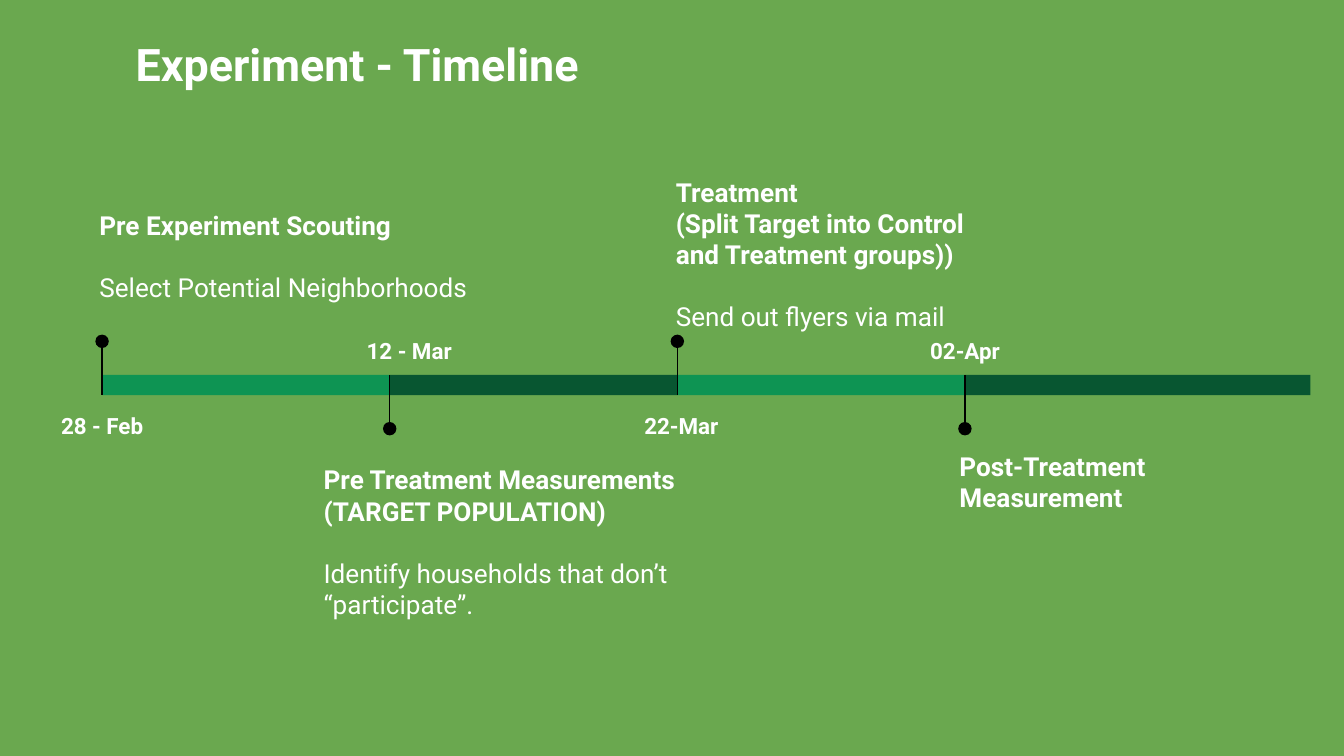
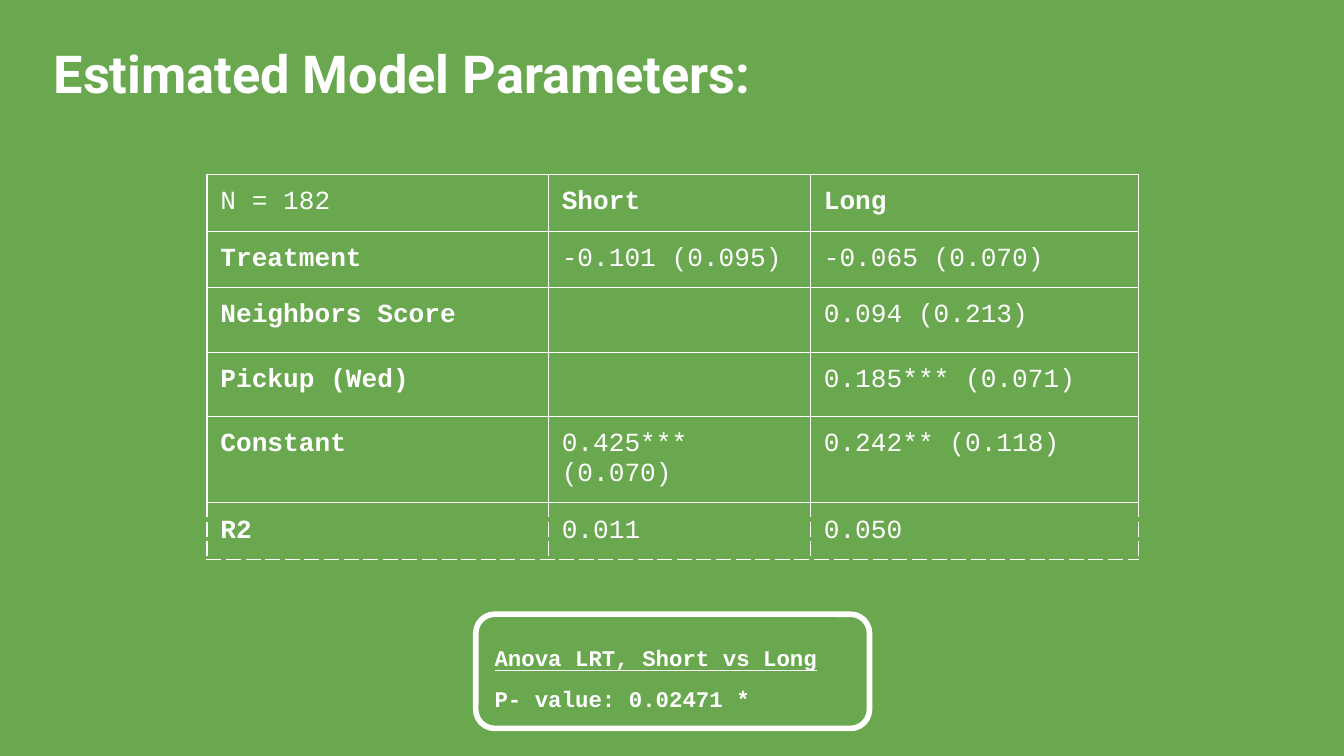
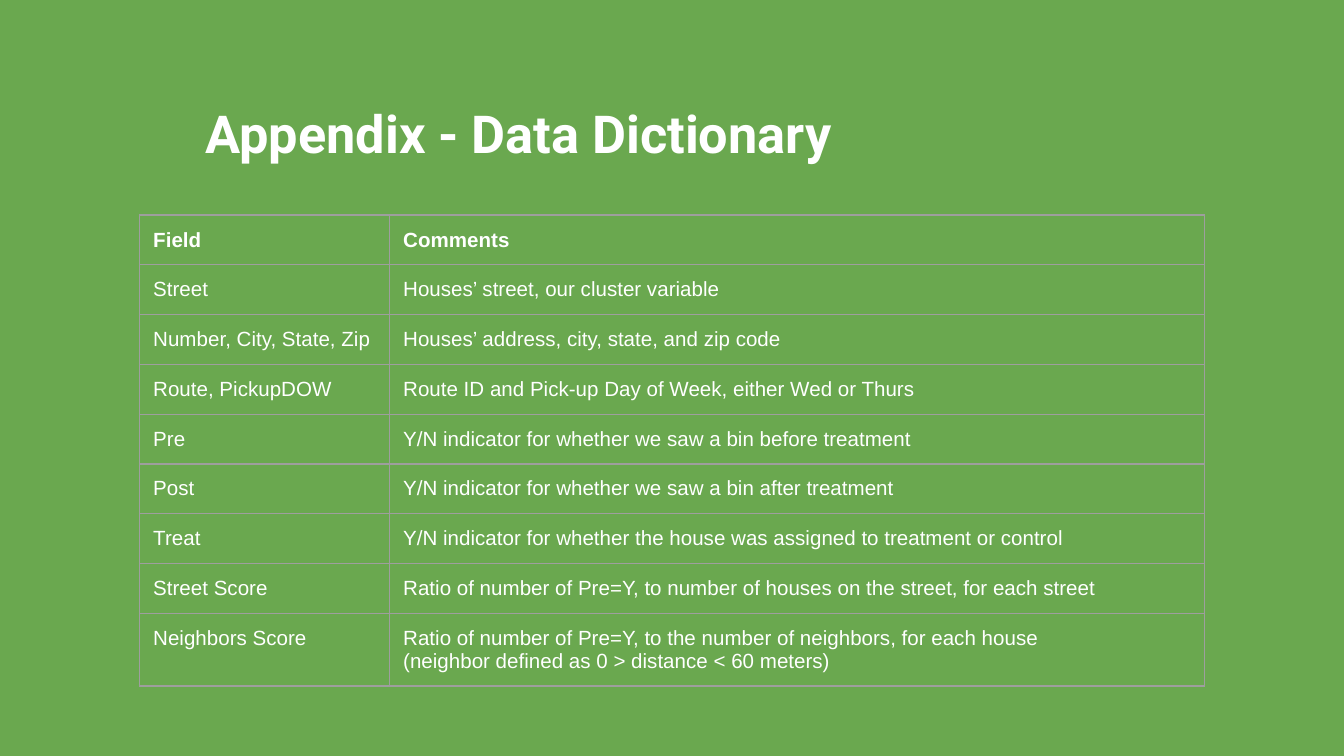
"""Build three slides: a timeline, a parameter table and a data dictionary."""
from lxml import etree
from pptx import Presentation
from pptx.dml.color import RGBColor
from pptx.enum.shapes import MSO_CONNECTOR, MSO_SHAPE
from pptx.enum.text import MSO_ANCHOR, MSO_AUTO_SIZE, PP_ALIGN
from pptx.oxml.ns import qn
from pptx.util import Inches, Pt

RECT, OVAL, ROUND = MSO_SHAPE.RECTANGLE, MSO_SHAPE.OVAL, MSO_SHAPE.ROUNDED_RECTANGLE
STRAIGHT = MSO_CONNECTOR.STRAIGHT
TOP, MIDDLE = MSO_ANCHOR.TOP, MSO_ANCHOR.MIDDLE
LEFT, CENTER = PP_ALIGN.LEFT, PP_ALIGN.CENTER
FIXED = MSO_AUTO_SIZE.NONE

COLS, ROWS = 100, 56.25
GREEN, WHITE, BLACK, GREY = "6AA84F", "FFFFFF", "000000", "9E9E9E"
LIGHT, DARK = "0E9453", "085631"
SANS, MONO, PLAIN = "Roboto", "Courier New", "Arial"

BAR_LEFT, BAR_TOP, BAR_HEIGHT, BAR_STEP, LAST_BAR = 7.6, 27.9, 1.5, 21.4, 25.7
STEM, DOT, DATE_WIDTH, DATE_HEIGHT = 4, 1, 9.5, 4.1

MILESTONES = [
    ("28 - Feb", 0, ["Pre Experiment Scouting"],
     "Select Potential Neighborhoods", (6.4, 14.6, 29.8, 10.3)),
    ("12 - Mar", 1.45, ["Pre Treatment Measurements", "(TARGET POPULATION)"],
     "Identify households that don’t “participate”.", (23.1, 33.5, 29, 13.4)),
    ("22-Mar", 0.3, ["Treatment", "(Split Target into Control and Treatment groups))"],
     "Send out flyers via mail", (49.3, 12.1, 24.6, 10.3)),
    ("02-Apr", 0, ["Post-Treatment Measurement"], None, (70.4, 32.5, 24.6, 10.3)),
]

PARAMETERS = [
    ("N = 182", "Short", "Long"),
    ("Treatment", "-0.101 (0.095)", "-0.065 (0.070)"),
    ("Neighbors Score", "", "0.094 (0.213)"),
    ("Pickup (Wed)", "", "0.185*** (0.071)"),
    ("Constant", "0.425*** (0.070)", "0.242** (0.118)"),
    ("R2", "0.011", "0.050"),
]

DICTIONARY = [
    ("Field", "Comments"),
    ("Street", "Houses’ street, our cluster variable"),
    ("Number, City, State, Zip", "Houses’ address, city, state, and zip code"),
    ("Route, PickupDOW", "Route ID and Pick-up Day of Week, either Wed or Thurs"),
    ("Pre", "Y/N indicator for whether we saw a bin before treatment"),
    ("Post", "Y/N indicator for whether we saw a bin after treatment"),
    ("Treat", "Y/N indicator for whether the house was assigned to treatment or control"),
    ("Street Score",
     "Ratio of number of Pre=Y, to number of houses on the street, for each street"),
    ("Neighbors Score",
     "Ratio of number of Pre=Y, to the number of neighbors, for each house\n"
     "(neighbor defined as 0 > distance < 60 meters)"),
]


def rgb(value):
    return RGBColor.from_string(value)


class Deck:
    """Holds the shared style and the current slide, and draws on a grid."""

    def __init__(self):
        self.prs = Presentation()
        self.prs.slide_width, self.prs.slide_height = Inches(10), Inches(5.625)
        fill = self.prs.slide_master.background.fill
        fill.solid()
        fill.fore_color.rgb = rgb(GREEN)

    def x(self, cols):
        return round(self.prs.slide_width * cols / COLS)

    def y(self, rows):
        return round(self.prs.slide_height * rows / ROWS)

    def box(self, left, top, width, height):
        return self.x(left), self.y(top), self.x(width), self.y(height)

    def style(self, p, size, font=SANS, bold=True, align=LEFT, spacing=None):
        p.alignment = align
        if spacing:
            p.line_spacing = spacing
        f = p.font
        f.size, f.name, f.bold = Pt(size), font, bold
        f.color.rgb = rgb(WHITE)

    def frame(self, tf, lines, anchor=TOP, wrap=True):
        tf.text = "\n".join(lines)
        tf.word_wrap, tf.auto_size, tf.vertical_anchor = wrap, FIXED, anchor
        tf.margin_left = tf.margin_right = tf.margin_top = tf.margin_bottom = Inches(0.1)
        return tf.paragraphs

    def slide(self, title, left, top, height=10.9, size=28):
        s = self.prs.slides.add_slide(self.prs.slide_layouts[5])
        self.shapes = s.shapes
        sp = s.shapes.title
        sp.left, sp.top, sp.width, sp.height = self.box(left, top, 76.9, height)
        self.style(self.frame(sp.text_frame, [title])[0], size)

    def text(self, lines, area, wrap=True):
        sp = self.shapes.add_textbox(*self.box(*area))
        return self.frame(sp.text_frame, lines, wrap=wrap)

    def shape(self, kind, area, color, line=None):
        sp = self.shapes.add_shape(kind, *self.box(*area))
        sp.shadow.inherit = False
        sp.fill.solid()
        sp.fill.fore_color.rgb = rgb(color)
        if line:
            sp.line.color.rgb, sp.line.width = rgb(line), Pt(3)
        else:
            sp.line.fill.background()
        return sp

    def stem(self, col, start, end):
        c = self.shapes.add_connector(
            STRAIGHT, self.x(col), self.y(start), self.x(col), self.y(end))
        c.line.color.rgb, c.line.width = rgb(BLACK), Pt(0.75)
        etree.SubElement(c._element.spPr, qn("a:effectLst"))

    def milestone(self, i, date, shift, headings, body, area):
        slide_shapes = self.shapes
        self.shapes = slide_shapes.add_group_shape().shapes
        col, above = BAR_LEFT + i * BAR_STEP, i % 2 == 0
        bar_bottom = BAR_TOP + BAR_HEIGHT
        width = LAST_BAR if i == len(MILESTONES) - 1 else BAR_STEP
        self.shape(RECT, (col, BAR_TOP, width, BAR_HEIGHT), LIGHT if above else DARK)
        base, tip = (bar_bottom, bar_bottom - STEM) if above else (BAR_TOP, BAR_TOP + STEM)
        self.stem(col, tip, base)
        self.shape(OVAL, (col - DOT / 2, tip - DOT / 2, DOT, DOT), BLACK)
        date_top = bar_bottom if above else BAR_TOP - DATE_HEIGHT
        date_left = col + shift - DATE_WIDTH / 2
        p = self.text([date], (date_left, date_top, DATE_WIDTH, DATE_HEIGHT), False)[0]
        self.style(p, 12, align=CENTER, spacing=1.15)
        for j, p in enumerate(self.text(headings + [body] * bool(body), area)):
            self.style(p, 14, bold=j < len(headings))
            if j == len(headings):
                p.space_before = Pt(16.4)
        self.shapes = slide_shapes

    def border(self, cell, color, dash):
        tcPr = cell._tc.get_or_add_tcPr()
        for side in "LRTB":
            ln = etree.SubElement(tcPr, qn("a:ln" + side), w=str(Pt(0.75)))
            fill = etree.SubElement(ln, qn("a:solidFill"))
            etree.SubElement(fill, qn("a:srgbClr"), val=color)
            etree.SubElement(ln, qn("a:prstDash"),
                             val="lgDash" if dash and side != "T" else "solid")

    def table(self, data, left, top, widths, heights, size, font, color, is_bold,
              dash_last=False):
        table = self.shapes.add_table(
            len(data), len(widths),
            *self.box(left, top, sum(widths), sum(heights))).table
        table.first_row = table.horz_banding = False
        for column, width in zip(table.columns, widths):
            column.width = self.x(width)
        for i, (row, height) in enumerate(zip(data, heights)):
            table.rows[i].height = self.y(height)
            for j, value in enumerate(row):
                cell = table.cell(i, j)
                cell.text = value
                cell.margin_left = cell.margin_right = Inches(0.1)
                cell.margin_top = cell.margin_bottom = Inches(0.1)
                self.border(cell, color, dash_last and i == len(data) - 1)
                cell.fill.background()
                for p in cell.text_frame.paragraphs:
                    self.style(p, size, font, is_bold(i, j))

    def callout(self, lines, area):
        sp = self.shape(ROUND, area, GREEN, WHITE)
        paragraphs = self.frame(sp.text_frame, lines, MIDDLE)
        for p in paragraphs:
            self.style(p, 12, MONO, spacing=1.5)
        paragraphs[0].font.underline = True


def main():
    deck = Deck()

    deck.slide("Experiment - Timeline", 9.1, 1.7, 7.4, 24)
    for i, milestone in enumerate(MILESTONES):
        deck.milestone(i, *milestone)

    deck.slide("Estimated Model Parameters:", 3, 2.1)
    deck.table(PARAMETERS, 15.4, 13, [25.4, 19.5, 24.4], [4.2, 4.2, 4.8, 4.8, 6.4, 4.2],
               14, MONO, WHITE, lambda i, j: (i == 0) != (j == 0), dash_last=True)
    deck.callout(["Anova LRT, Short vs Long", "P- value: 0.02471 *"],
                 (35.4, 45.7, 29.3, 8.5))

    deck.slide("Appendix - Data Dictionary", 14.3, 6.5)
    deck.table(DICTIONARY, 10.4, 16, [18.6, 60.6], [3.7] * 8 + [5.4],
               11, PLAIN, GREY, lambda i, j: i == 0)

    deck.prs.save("out.pptx")


if __name__ == "__main__":
    main()
